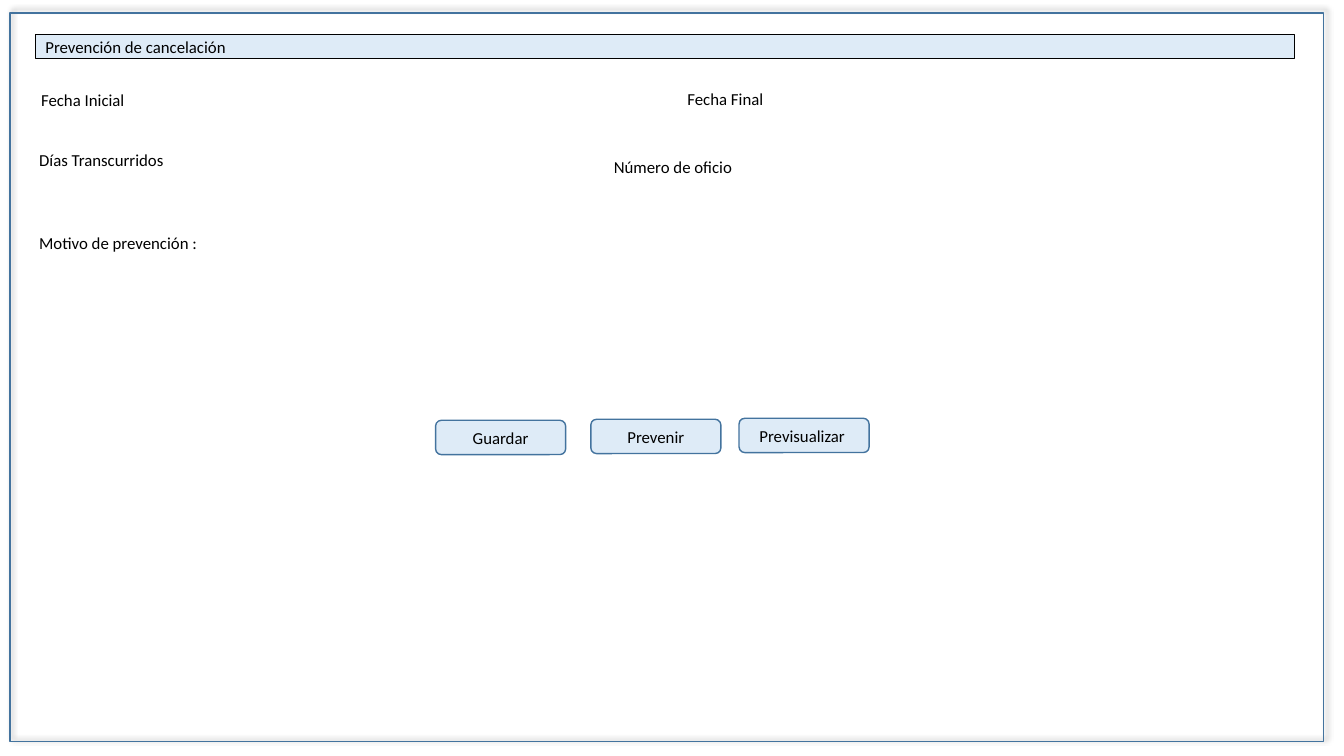
from dataclasses import dataclass

import lxml.etree
import pptx
import pptx.dml.color
import pptx.enum.shapes
import pptx.enum.text
import pptx.oxml.ns
import pptx.util

Inches = pptx.util.Inches
Align = pptx.enum.text.PP_ALIGN
Preset = pptx.enum.shapes.MSO_SHAPE

BLACK = "000000"
PALE_BLUE = "DEEBF7"
STEEL_BLUE = "43739E"
LABEL_HEIGHT = 0.3
BUTTON_WIDTH, BUTTON_HEIGHT = 1.29, 0.34


@dataclass
class Caption:
    text: str
    left: float
    top: float
    width: float = 3.37


FIELD_LABELS = [
    Caption("Fecha Inicial", 0.31, 0.84),
    Caption("Días Transcurridos", 0.29, 1.44),
    Caption("Fecha Final", 6.72, 0.83, 3.77),
    Caption("Motivo de prevención :", 0.29, 2.26, 4),
    Caption("Número de oficio", 5.99, 1.51),
]
BUTTONS = [
    Caption("Guardar", 4.32, 4.17, BUTTON_WIDTH),
    Caption("Prevenir", 5.86, 4.16, BUTTON_WIDTH),
    Caption("Previsualizar ", 7.33, 4.15, BUTTON_WIDTH),
]


def rgb(color: str) -> pptx.dml.color.RGBColor:
    return pptx.dml.color.RGBColor.from_string(color)


def outline(shape, color: str) -> None:
    shape.line.color.rgb = rgb(color)
    shape.line.width = pptx.util.Pt(1)


def fill_pale(shape) -> None:
    shape.fill.solid()
    shape.fill.fore_color.rgb = rgb(PALE_BLUE)


def write(shape, text: str, align: Align = Align.LEFT) -> None:
    frame = shape.text_frame
    frame.text = text
    frame.word_wrap = True
    paragraph = frame.paragraphs[0]
    paragraph.alignment = align
    font = paragraph.runs[0].font
    font.name = "Calibri"
    font.size = pptx.util.Pt(12)
    font.color.rgb = rgb(BLACK)


def draw_window(slide) -> None:
    window = slide.shapes.add_shape(
        Preset.RECTANGLE, Inches(0.1), Inches(0.13), Inches(13.03), Inches(7.23))
    window.fill.background()
    outline(window, STEEL_BLUE)
    window.shadow.inherit = False
    qn = pptx.oxml.ns.qn
    effects = window.element.spPr.find(qn("a:effectLst"))
    shadow = lxml.etree.SubElement(
        effects, qn("a:outerShdw"), blurRad=str(pptx.util.Pt(4)),
        dist=str(pptx.util.Pt(3)), dir=str(315 * 60000), algn="bl", rotWithShape="0")
    tint = lxml.etree.SubElement(shadow, qn("a:srgbClr"), val=BLACK)
    lxml.etree.SubElement(tint, qn("a:alpha"), val="40000")


def draw_heading(slide) -> None:
    heading = slide.shapes.title
    heading.left, heading.top = Inches(0.35), Inches(0.34)
    heading.width, heading.height = Inches(12.49), Inches(0.24)
    fill_pale(heading)
    outline(heading, BLACK)
    write(heading, "Prevención de cancelación")
    heading.text_frame.auto_size = pptx.enum.text.MSO_AUTO_SIZE.NONE
    heading.text_frame.vertical_anchor = pptx.enum.text.MSO_ANCHOR.MIDDLE


def draw_label(slide, label: Caption) -> None:
    box = slide.shapes.add_textbox(
        Inches(label.left), Inches(label.top), Inches(label.width), Inches(LABEL_HEIGHT))
    write(box, label.text)
    box.text_frame.auto_size = pptx.enum.text.MSO_AUTO_SIZE.SHAPE_TO_FIT_TEXT


def draw_button(slide, caption: Caption) -> None:
    button = slide.shapes.add_shape(
        Preset.ROUNDED_RECTANGLE, Inches(caption.left), Inches(caption.top),
        Inches(caption.width), Inches(BUTTON_HEIGHT))
    fill_pale(button)
    outline(button, STEEL_BLUE)
    button.shadow.inherit = False
    write(button, caption.text, Align.CENTER)
    button.text_frame.vertical_anchor = pptx.enum.text.MSO_ANCHOR.MIDDLE


def main() -> None:
    deck = pptx.Presentation()
    deck.slide_width, deck.slide_height = Inches(13.33), Inches(7.5)
    slide = deck.slides.add_slide(deck.slide_layouts.get_by_name("Title Only"))
    draw_window(slide)
    draw_heading(slide)
    for label in FIELD_LABELS:
        draw_label(slide, label)
    for caption in BUTTONS:
        draw_button(slide, caption)
    deck.save("out.pptx")


if __name__ == "__main__":
    main()
